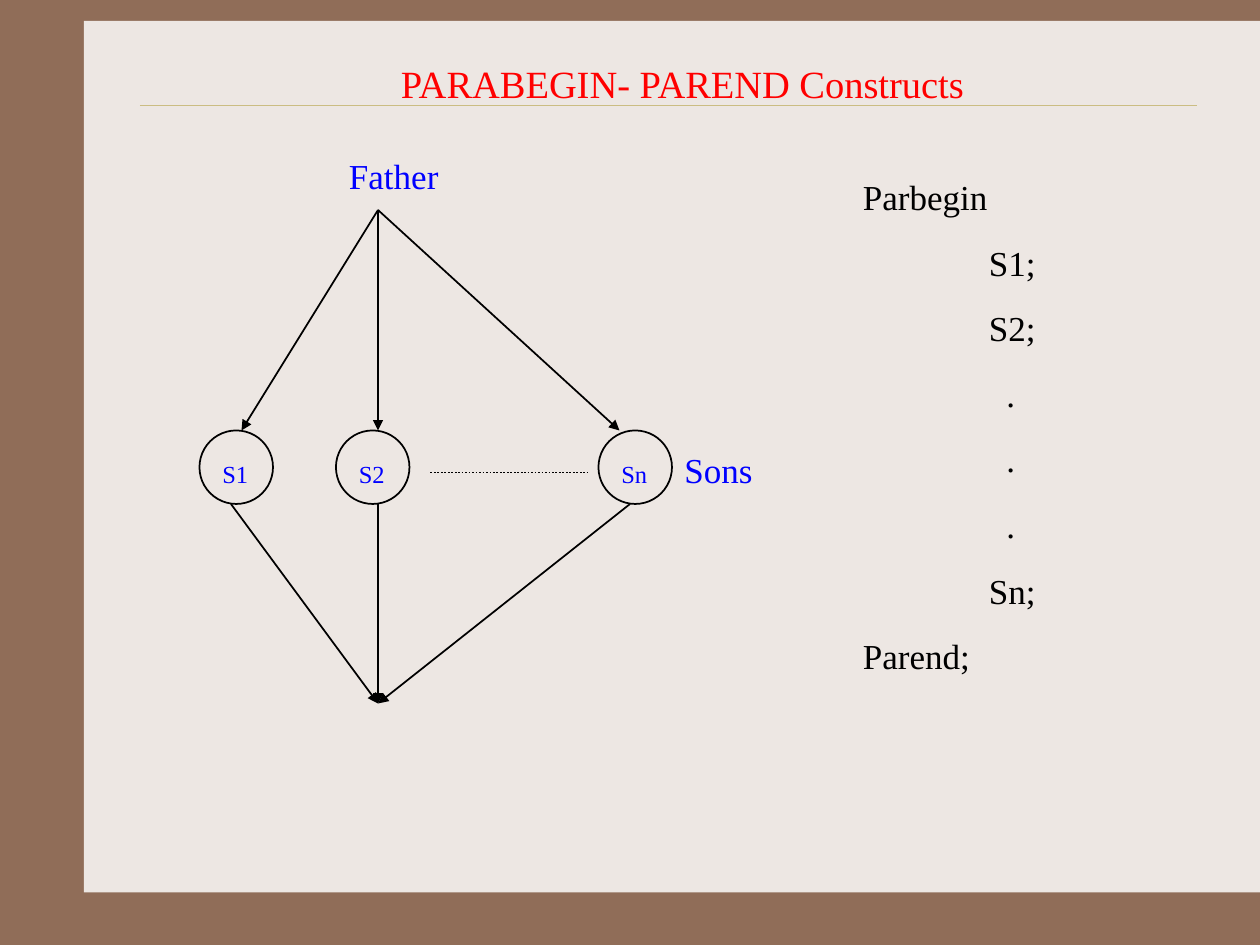
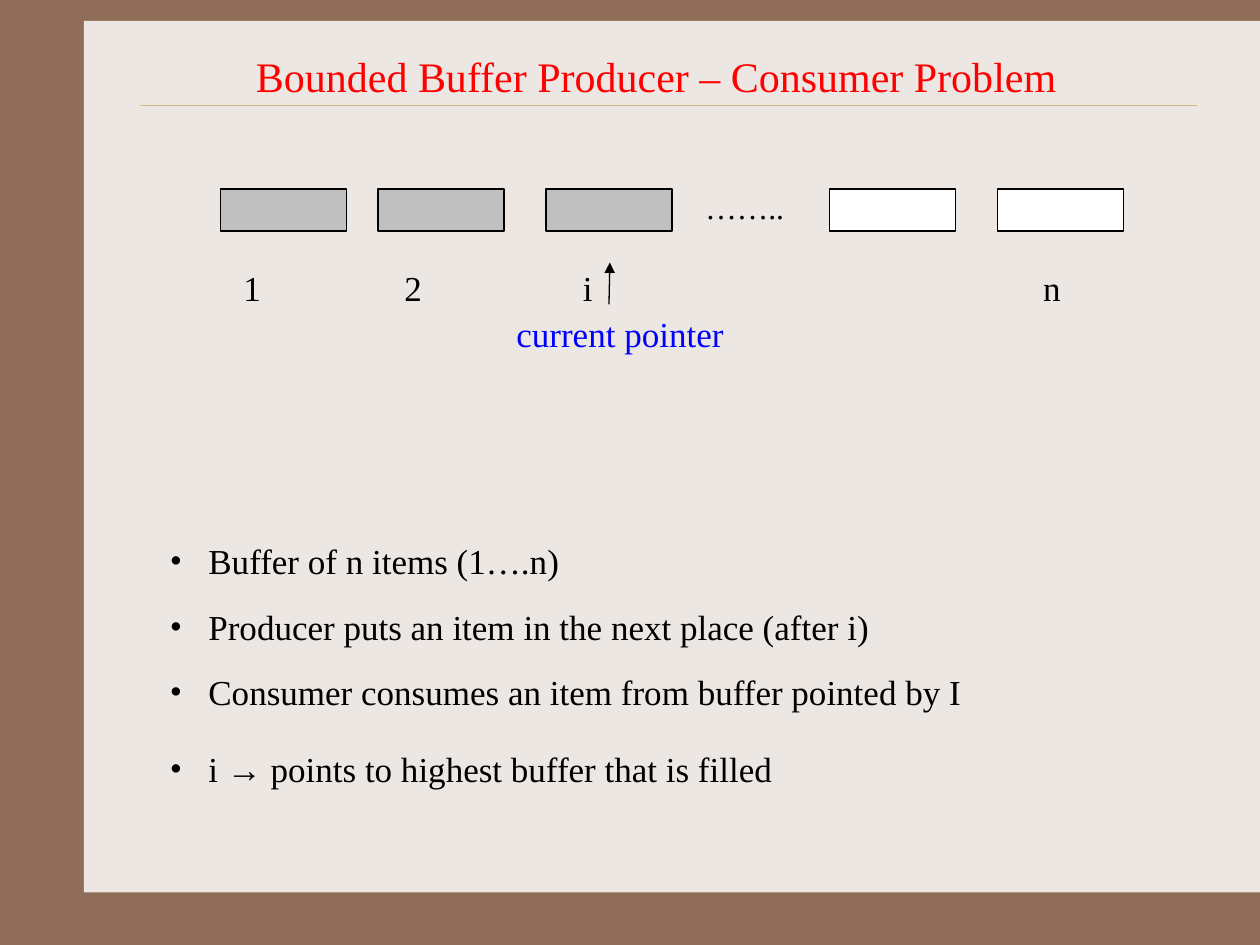
from lxml import etree
from pptx import Presentation
from pptx.dml.color import RGBColor
from pptx.enum.dml import MSO_LINE
from pptx.enum.shapes import MSO_CONNECTOR, MSO_SHAPE
from pptx.enum.text import PP_ALIGN
from pptx.oxml.ns import qn
from pptx.util import Pt

LEFT, CENTER = PP_ALIGN.LEFT, PP_ALIGN.CENTER
RECT, OVAL = MSO_SHAPE.RECTANGLE, MSO_SHAPE.OVAL
STRAIGHT = MSO_CONNECTOR.STRAIGHT
DOTTED = MSO_LINE.ROUND_DOT

FONT = "Times New Roman"
BROWN, CREAM, RULE = "906D58", "EDE7E3", "CBBD83"
RED, BLUE, BLACK = "FF0000", "0000FF", "000000"
GREY, WHITE = "C0C0C0", "FFFFFF"

# Fork and join: son name, circle left, arrow end above, arrow start below
SONS = [
    ("S1", 114, 138, 132),
    ("S2", 192, 216, 216),
    ("Sn", 342, 354, 360),
]
FORK, JOIN = (216, 120), (216, 402)
SON_TOP, SON_SIZE = 246, 42

# Code line, left indent
CODE = [
    ("Parbegin", 0),
    ("S1;", 72),
    ("S2;", 72),
    (".", 82),
    (".", 82),
    (".", 82),
    ("Sn;", 72),
    ("Parend;", 0),
]

# Buffer cell left, fill
CELLS = [(126, GREY), (216, GREY), (312, GREY), (474, WHITE), (570, WHITE)]
INDEXES = "1\t2\ti\tn"
INDEX_TABS = [92, 194, 457]

# Bullet text, space before
NOTES = [
    ("Buffer of n items (1….n)", 12.5),
    ("Producer puts an item in the next place (after i)", 12.5),
    ("Consumer consumes an item from buffer pointed by I", 12.5),
    ("i → points to highest buffer that is filled", 19),
]
NOTE_INDENT = 22


def rgb(color):
    return RGBColor.from_string(color)


def add_shape(s, kind, box, fill=None, line=None, width=1):
    sp = s.shapes.add_shape(kind, *map(Pt, box))
    sp.shadow.inherit = False
    if fill:
        sp.fill.solid()
        sp.fill.fore_color.rgb = rgb(fill)
    else:
        sp.fill.background()
    if line:
        sp.line.color.rgb = rgb(line)
        sp.line.width = Pt(width)
    else:
        sp.line.fill.background()


def add_line(s, start, end, color=BLACK, width=1, arrow=False, dash=None):
    cn = s.shapes.add_connector(STRAIGHT, *map(Pt, start + end))
    cn.line.color.rgb = rgb(color)
    cn.line.width = Pt(width)
    if dash:
        cn.line.dash_style = dash
    if arrow:
        ln = cn.line.fill._xPr
        etree.SubElement(ln, qn("a:tailEnd"), type="triangle")
    etree.SubElement(cn._element.spPr, qn("a:effectLst"))


def add_text(s, box, lines, size=20, color=BLACK, align=LEFT):
    """Add a text box with one paragraph per line and return its paragraphs."""
    tf = s.shapes.add_textbox(*map(Pt, box)).text_frame
    tf.word_wrap = True
    tf.text = "\n".join(lines)
    for p in tf.paragraphs:
        p.alignment = align
        p.line_spacing = 1.04
        for r in p.runs:
            r.font.name = FONT
            r.font.size = Pt(size)
            r.font.color.rgb = rgb(color)
    return tf.paragraphs


def set_indent(p, left, first=0):
    pPr = p._p.get_or_add_pPr()
    pPr.set("marL", str(Pt(left)))
    pPr.set("indent", str(Pt(first)))


def add_bullet(p):
    pPr = p._p.get_or_add_pPr()
    etree.SubElement(pPr, qn("a:buFont"), typeface=FONT)
    etree.SubElement(pPr, qn("a:buChar"), char="•")


def set_tabs(p, stops):
    tabs = etree.SubElement(p._p.get_or_add_pPr(), qn("a:tabLst"))
    for stop in stops:
        etree.SubElement(tabs, qn("a:tab"), pos=str(Pt(stop)), algn="l")


def add_slide(prs, title, left, top, size):
    """Add a slide with the shared frame, rule and title."""
    s = prs.slides.add_slide(prs.slide_layouts[6])
    s.background.fill.solid()
    s.background.fill.fore_color.rgb = rgb(BROWN)
    add_shape(s, RECT, (48, 12, 672, 498), CREAM)
    add_line(s, (80, 60), (684, 60), RULE, 0.25)
    add_text(s, (left, top, 612, 30), [title], size, RED, CENTER)
    return s


def build_constructs(prs):
    s = add_slide(prs, "PARABEGIN- PAREND Constructs", 84, 30, 22)
    for name, left, above, below in SONS:
        add_shape(s, OVAL, (left, SON_TOP, SON_SIZE, SON_SIZE), line=BLACK)
        add_text(s, (left + 6, SON_TOP + 12, 30, 24), [name], 14, BLUE)
        add_line(s, FORK, (above, SON_TOP), arrow=True)
        add_line(s, (below, SON_TOP + SON_SIZE), JOIN, arrow=True)
    add_line(s, (246, 270), (336, 270), dash=DOTTED)
    add_text(s, (162, 84, 126, 32), ["Father"], color=BLUE, align=CENTER)
    add_text(s, (384, 252, 54, 32), ["Sons"], color=BLUE)
    code = add_text(s, (486, 96, 162, 287), [text for text, _ in CODE])
    for p, (_, indent) in zip(code, CODE):
        p.space_before = Pt(12.5)
        set_indent(p, indent)


def build_buffer(prs):
    s = add_slide(prs, "Bounded Buffer Producer – Consumer Problem ", 72, 24, 24)
    notes = add_text(s, (90, 304, 606, 148), [text for text, _ in NOTES])
    for p, (_, gap) in zip(notes, NOTES):
        p.space_before = Pt(gap)
        set_indent(p, NOTE_INDENT, -NOTE_INDENT)
        add_bullet(p)
    for left, fill in CELLS:
        add_shape(s, RECT, (left, 108, 72, 24), fill, BLACK, 0.75)
    add_text(s, (396, 103, 60, 29), ["…….."], 18)
    indexes = add_text(s, (132, 148, 510, 32), [INDEXES])
    set_tabs(indexes[0], INDEX_TABS)
    add_line(s, (348, 174), (348.5, 150), width=0.75, arrow=True)
    add_text(s, (288, 174, 144, 32), ["current pointer"], color=BLUE)


def main():
    prs = Presentation()
    prs.slide_width, prs.slide_height = Pt(720), Pt(540)
    build_constructs(prs)
    build_buffer(prs)
    prs.save("out.pptx")


if __name__ == "__main__":
    main()
